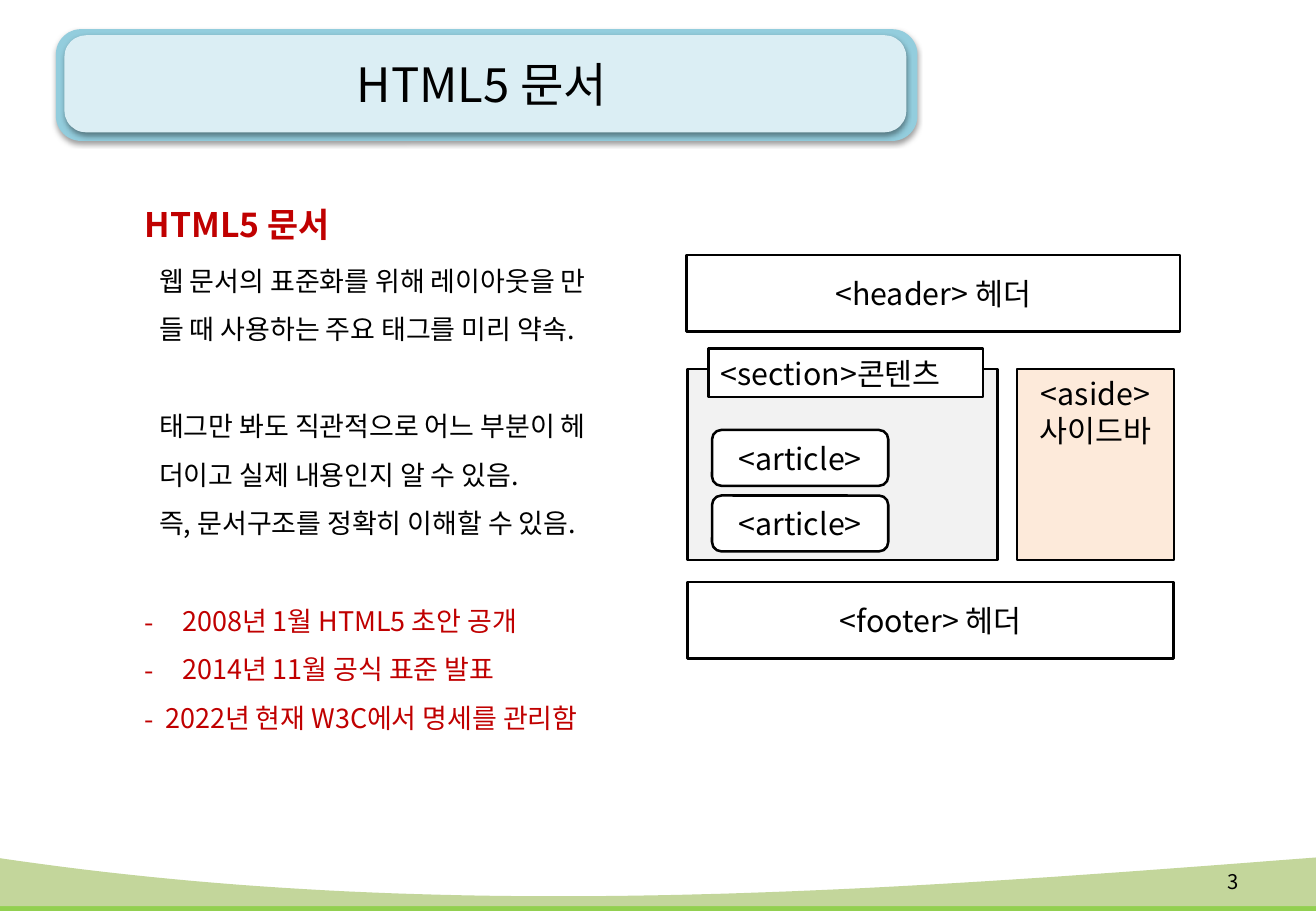
"""Build the HTML5 document slide with its page layout diagram."""
import lxml.etree
import pptx
import pptx.dml.color
import pptx.enum.shapes
import pptx.enum.text
import pptx.oxml
import pptx.oxml.ns
import pptx.util

Inches, Pt = pptx.util.Inches, pptx.util.Pt
RGB = pptx.dml.color.RGBColor.from_string
Kind = pptx.enum.shapes.MSO_SHAPE
Align = pptx.enum.text.PP_ALIGN
Anchor = pptx.enum.text.MSO_ANCHOR
qn = pptx.oxml.ns.qn
FONT = "Noto Sans CJK KR"
COLORS = {
    "black": "000000", "white": "FFFFFF", "red": "C00000",
    "gray": "F2F2F2", "peach": "FDEADA", "teal": "93CDDD",
    "pale": "DBEEF4", "lime": "92D050", "olive": "C3D69B",
}


def add_run(par, text, size, color="black", bold=False):
    run = par.add_run()
    run.text = text
    font = run.font
    font.name, font.size, font.bold = FONT, Pt(size), bold
    font.color.rgb = RGB(COLORS[color])
    east = lxml.etree.SubElement(font._element, qn("a:ea"))
    east.set("typeface", FONT)


def add_box(kind, place, fill, line=True):
    box = slide.shapes.add_shape(kind, *map(Inches, place))
    box.shadow.inherit = False
    box.fill.solid()
    box.fill.fore_color.rgb = RGB(COLORS[fill])
    if line:
        box.line.color.rgb = RGB(COLORS["black"])
        box.line.width = Pt(1.5)
    else:
        box.line.fill.background()
    return box


deck = pptx.Presentation()
deck.slide_width, deck.slide_height = Inches(10.83), Inches(7.5)
slide = deck.slides.add_slide(deck.slide_layouts[1])
title, body = slide.placeholders

waves = [
    ("lime", (7.24, 7.6, 7.43, 7.24), 7.5),
    ("olive", (7.06, 7.61, 7.34, 7.06), 7.46),
]
panels = [
    ((0.46, 0.24, 7.09, 0.92), "teal"),
    ((0.53, 0.29, 6.93, 0.8), "pale"),
]
SHADOW = (
    '<a:outerShdw xmlns:a="http://schemas.openxmlformats.org/drawingml/2006/main" '
    'blurRad="39370" dist="20320" dir="5400000" rotWithShape="0">'
    '<a:srgbClr val="000000"><a:alpha val="38000"/></a:srgbClr></a:outerShdw>'
)
for place, fill in panels:
    panel = add_box(Kind.ROUNDED_RECTANGLE, place, fill, line=False)
    panel.adjustments[0] = 0.225
    effects = panel._element.spPr.find(qn("a:effectLst"))
    effects.append(pptx.oxml.parse_xml(SHADOW))

STEPS = 60
for fill, tops, base in waves:
    points = []
    for step in range(STEPS + 1):
        t = step / STEPS
        u = 1 - t
        parts = (u ** 3, 3 * u * u * t, 3 * u * t * t, t ** 3)
        x = sum(p * v for p, v in zip(parts, (-0.04, 3.64, 7.19, 10.83)))
        y = sum(p * v for p, v in zip(parts, tops))
        points.append((Inches(x), Inches(y)))
    points += [(Inches(10.83), Inches(base)), (Inches(-0.04), Inches(base))]
    path = slide.shapes.build_freeform(*points[0])
    path.add_line_segments(points[1:], close=True)
    wave = path.convert_to_shape()
    wave.shadow.inherit = False
    wave.fill.solid()
    wave.fill.fore_color.rgb = RGB(COLORS[fill])
    wave.line.fill.background()

slide.shapes._spTree.append(title._element)
title.left, title.top = Inches(0.46), Inches(0.22)
title.width, title.height = Inches(7.01), Inches(0.94)
frame = title.text_frame
frame.auto_size = pptx.enum.text.MSO_AUTO_SIZE.NONE
frame.vertical_anchor = Anchor.MIDDLE
frame.paragraphs[0].alignment = Align.CENTER
add_run(frame.paragraphs[0], "HTML5 문서", 28)

number = slide.shapes.add_textbox(*map(Inches, (9.68, 7.06, 0.61, 0.4)))
frame = number.text_frame
frame.word_wrap = True
frame.vertical_anchor = Anchor.MIDDLE
frame.paragraphs[0].alignment = Align.RIGHT
add_run(frame.paragraphs[0], "3", 12)

RECT, ROUND = Kind.RECTANGLE, Kind.ROUNDED_RECTANGLE
blocks = [
    (RECT, (5.65, 2.1, 4.06, 0.63), "white", ["<header> 헤더"]),
    (RECT, (5.66, 3.04, 2.55, 1.57), "gray", []),
    (RECT, (8.37, 3.04, 1.29, 1.57), "peach", ["<aside>", "사이드바"]),
    (RECT, (5.66, 4.79, 4, 0.63), "white", ["<footer> 헤더"]),
    (ROUND, (5.86, 3.54, 1.45, 0.46), "white", ["<article>"]),
    (ROUND, (5.86, 4.08, 1.45, 0.46), "white", ["<article>"]),
    (RECT, (5.83, 2.87, 2.26, 0.4), "white", ["<section>콘텐츠"]),
]
for kind, place, fill, lines in blocks:
    block = add_box(kind, place, fill)
    frame = block.text_frame
    frame.vertical_anchor = Anchor.TOP if fill == "peach" else Anchor.MIDDLE
    for i, text in enumerate(lines):
        par = frame.add_paragraph() if i else frame.paragraphs[0]
        par.alignment = Align.LEFT if "section" in text else Align.CENTER
        par.line_spacing = Pt(21.6)
        add_run(par, text, 18)

body.left, body.top = Inches(1.09), Inches(1.46)
body.width, body.height = Inches(4.57), Inches(4.7)
frame = body.text_frame
frame.auto_size = pptx.enum.text.MSO_AUTO_SIZE.NONE
PITCH = 28.8
notes = [
    ("HTML5 문서", 20, "red", 36, 0, 0, False),
    ("웹 문서의 표준화를 위해 레이아웃을 만", 16, "black", 31, 0, 0.12, False),
    ("들 때 사용하는 주요 태그를 미리 약속.", 16, "black", PITCH, 0, 0.12, False),
    ("태그만 봐도 직관적으로 어느 부분이 헤", 16, "black", PITCH, PITCH, 0.12, False),
    ("더이고 실제 내용인지 알 수 있음.", 16, "black", PITCH, 0, 0.12, False),
    ("즉, 문서구조를 정확히 이해할 수 있음.", 16, "black", PITCH, 0, 0.12, False),
    ("2008년 1월 HTML5 초안 공개", 16, "red", PITCH, PITCH, 0.31, True),
    ("2014년 11월 공식 표준 발표", 16, "red", PITCH, 0, 0.31, True),
    ("2022년 현재 W3C에서 명세를 관리함", 16, "red", PITCH, 0, 0.17, True),
]
for i, (text, size, color, pitch, gap, inset, dash) in enumerate(notes):
    par = frame.add_paragraph() if i else frame.paragraphs[0]
    par.line_spacing = Pt(pitch)
    par.space_before = Pt(gap)
    props = par._p.get_or_add_pPr()
    props.set("marL", str(Inches(inset)))
    props.set("indent", str(-Inches(inset) if dash else 0))
    if dash:
        lxml.etree.SubElement(props, qn("a:buFont")).set("typeface", FONT)
        lxml.etree.SubElement(props, qn("a:buChar")).set("char", "-")
    else:
        lxml.etree.SubElement(props, qn("a:buNone"))
    add_run(par, text, size, color, bold=size == 20)

deck.save("out.pptx")
